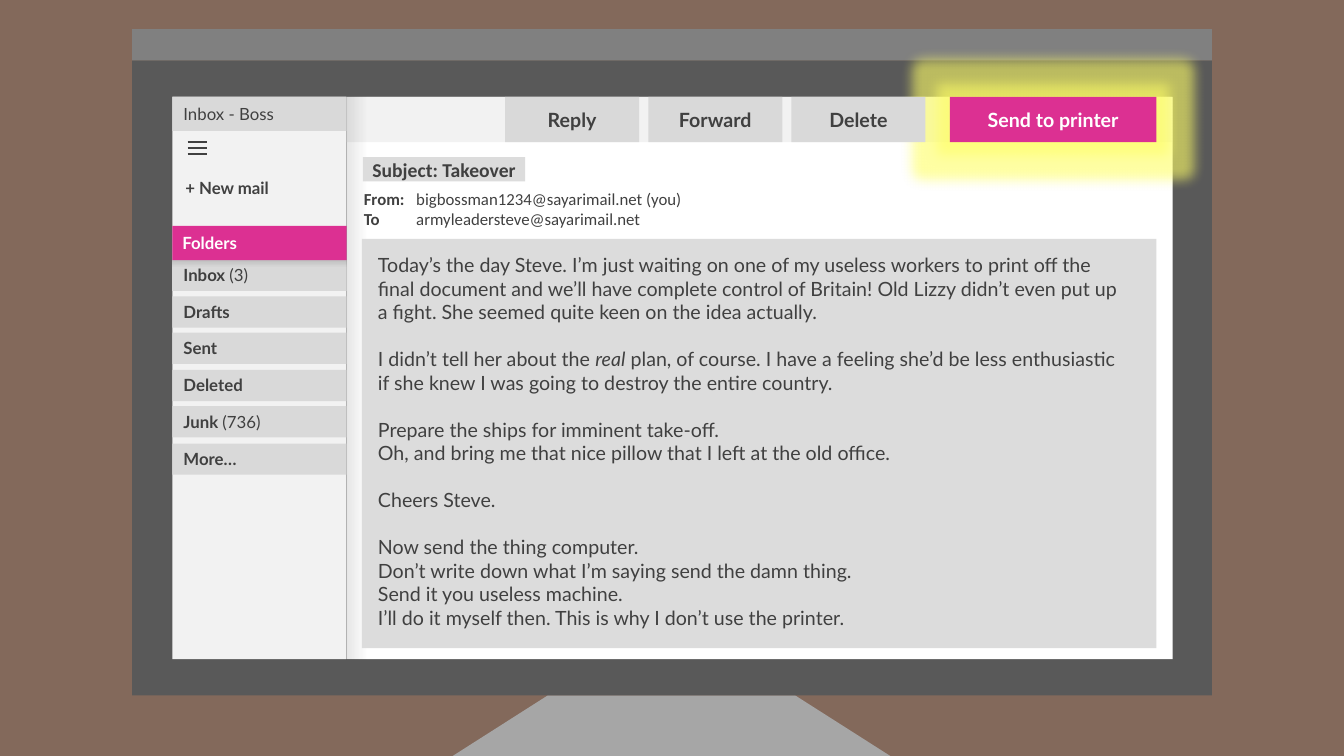
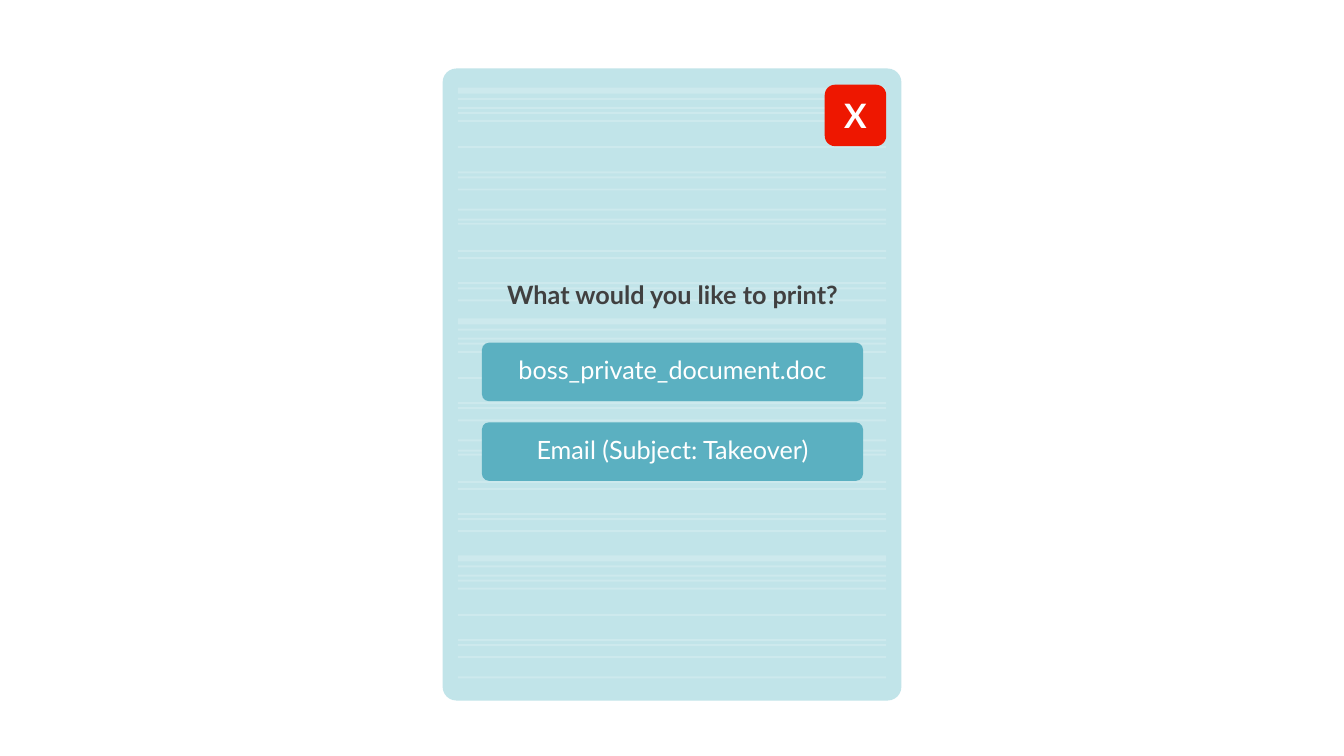
"""Build a mock e-mail screen and a printer dialog as two slides."""
from lxml.etree import SubElement
from pptx import Presentation
from pptx.dml.color import RGBColor
from pptx.enum.shapes import MSO_CONNECTOR, MSO_SHAPE
from pptx.enum.text import MSO_ANCHOR, MSO_AUTO_SIZE, PP_ALIGN
from pptx.oxml.ns import qn
from pptx.util import Emu, Pt

PX = 9144
TITLE_ONLY = 5
FONT = "Lato"
HEADER_FONT = "Calibri"

WHITE = RGBColor(0xFF, 0xFF, 0xFF)
BLACK = RGBColor(0, 0, 0)
INK = RGBColor(0x40, 0x40, 0x40)
WALL = RGBColor(0x83, 0x69, 0x5B)
STAND = RGBColor(0xA6, 0xA6, 0xA6)
BEZEL = RGBColor(0x59, 0x59, 0x59)
BEZEL_TOP = RGBColor(0x80, 0x80, 0x80)
PANE = RGBColor(0xF2, 0xF2, 0xF2)
BUTTON = RGBColor(0xD9, 0xD9, 0xD9)
ROW_SHADE = RGBColor(0xBF, 0xBF, 0xBF)
MAIL = RGBColor(0xDC, 0xDC, 0xDC)
PINK = RGBColor(0xDC, 0x30, 0x92)
GLOW = RGBColor(0xFF, 0xFF, 0x66)
DIALOG = RGBColor(0xC1, 0xE4, 0xE9)
CHOICE = RGBColor(0x5B, 0xB0, 0xC1)
CLOSE = RGBColor(0xEE, 0x17, 0x00)

FOLDERS = [
    [("Inbox ", "b"), ("(3)", "")],
    [("Drafts", "b")],
    [("Sent", "b")],
    [("Deleted", "b")],
    [("Junk ", "b"), ("(736)", "")],
    [("More…", "b")],
]
ADDRESSES = [
    ("From:", "bigbossman1234@sayarimail.net (you)"),
    ("To", "armyleadersteve@sayarimail.net"),
]
MESSAGE = [
    [[("Today’s the day Steve. I’m just waiting on one of my useless workers "
       "to print off the final document and we’ll have complete control of "
       "Britain! Old Lizzy didn’t even put up a fight. She seemed quite keen "
       "on the idea actually.", "")]],
    [[("I didn’t tell her about the ", ""), ("real", "i"),
      (" plan, of course. I have a feeling she’d be less enthusiastic if she "
       "knew I was going to destroy the entire country.", "")]],
    [[("Prepare the ships for imminent take-off.", "")],
     [("Oh, and bring me that nice pillow that I left at the old office.", "")]],
    [[("Cheers Steve.", "")]],
    [[("Now send the thing computer.", "")],
     [("Don’t write down what I’m saying send the damn thing.", "")],
     [("Send it you useless machine.", "")],
     [("I’ll do it myself then. This is why I don’t use the printer.", "")]],
]
STRIPE_STARTS = (87, 316, 551)
STRIPE_OFFSETS = (0, 10, 19, 24, 32, 58, 83, 88, 100, 120, 130, 134, 161, 168,
                  193, 198, 210)
STRIPE_LIMIT = 680


def box(*lengths):
    """Turn pixel lengths into EMU."""
    return [Emu(length * PX) for length in lengths]


def write(paragraph, parts, size, color=INK, align=PP_ALIGN.LEFT, font=FONT):
    """Fill a paragraph with (text, style) parts, style being b, i or empty."""
    paragraph.alignment = align
    for text, style in parts:
        run = paragraph.add_run()
        run.text = text
        run.font.name = font
        run.font.size = Pt(size)
        run.font.color.rgb = color
        run.font.bold = style == "b"
        run.font.italic = style == "i"


def set_frame(shape, anchor, insets=(10, 5, 10, 5)):
    """Wrap the text of a shape and set its anchor and insets."""
    frame = shape.text_frame
    frame.word_wrap = True
    frame.auto_size = MSO_AUTO_SIZE.NONE
    frame.vertical_anchor = anchor
    (frame.margin_left, frame.margin_top,
     frame.margin_right, frame.margin_bottom) = box(*insets)
    return frame


def add_block(slide, place, color, kind=MSO_SHAPE.RECTANGLE, adjust=None):
    """Add a flat filled shape without outline or shadow."""
    shape = slide.shapes.add_shape(kind, *box(*place))
    shape.shadow.inherit = False
    shape.fill.solid()
    shape.fill.fore_color.rgb = color
    shape.line.fill.background()
    if adjust is not None:
        shape.adjustments[0] = adjust
    return shape


def add_label(shape, parts, size, color=INK, align=PP_ALIGN.LEFT,
              insets=(10, 5, 10, 5)):
    """Write one vertically centred line into a shape."""
    frame = set_frame(shape, MSO_ANCHOR.MIDDLE, insets)
    write(frame.paragraphs[0], parts, size, color, align)


def add_text_box(slide, place):
    """Add an empty wrapping text box and return its frame."""
    return set_frame(slide.shapes.add_textbox(*box(*place)), MSO_ANCHOR.TOP)


def place_title(slide, place, text, size, font=FONT):
    """Move the title placeholder to the front and write a centred line."""
    title = slide.shapes.title
    title.left, title.top, title.width, title.height = box(*place)
    title.element.getparent().append(title.element)
    frame = set_frame(title, MSO_ANCHOR.MIDDLE, (0, 0, 0, 0))
    write(frame.paragraphs[0], [(text, "b")], size, INK, PP_ALIGN.CENTER, font)
    return title


def set_alpha(shape, *percents):
    """Set the opacity of the fill colours of a shape, in order."""
    colors = shape.element.spPr.iter(qn("a:srgbClr"))
    for color, percent in zip(colors, percents):
        SubElement(color, qn("a:alpha"), val=str(percent * 1000))


def set_gradient(shape, angle, *stops):
    """Fill a shape with a two-stop linear gradient."""
    shape.fill.gradient()
    shape.fill.gradient_angle = angle
    for stop, (position, color) in zip(shape.fill.gradient_stops, stops):
        stop.position = position
        stop.color.rgb = color


def add_effect(shape, tag, color, percent, **settings):
    """Add a glow or shadow to a shape."""
    effects = shape.element.spPr.find(qn("a:effectLst"))
    effect = SubElement(effects, qn(tag), **settings)
    tint = SubElement(effect, qn("a:srgbClr"), val=str(color))
    SubElement(tint, qn("a:alpha"), val=str(percent * 1000))


def add_monitor(slide):
    """Draw the wall, the stand and the screen."""
    slide.background.fill.solid()
    slide.background.fill.fore_color.rgb = WALL
    add_block(slide, (449, 690, 434, 60), STAND, MSO_SHAPE.TRAPEZOID, 1.57)
    add_block(slide, (131, 60, 1071, 630), BEZEL)
    add_block(slide, (344, 96, 819, 558), WHITE)
    add_block(slide, (131, 29, 1071, 31), BEZEL_TOP)


def add_menu_icon(slide):
    """Draw three short lines."""
    for y in range(141, 154, 6):
        line = slide.shapes.add_connector(MSO_CONNECTOR.STRAIGHT,
                                          *box(186, y, 205, y))
        line.line.color.rgb = INK
        line.line.width = Pt(1.5)
        SubElement(line.element.spPr, qn("a:effectLst"))


def add_sidebar(slide):
    """Draw the mailbox name, the menu and the folder list."""
    add_block(slide, (171, 96, 173, 558), PANE)
    mailbox = add_block(slide, (171, 96, 173, 34), BUTTON)
    add_label(mailbox, [("Inbox - Boss", "")], 12, insets=(11, 5, 10, 5))
    add_menu_icon(slide)
    frame = add_text_box(slide, (174, 171, 134, 30))
    write(frame.paragraphs[0], [("+ New mail", "b")], 12)
    for index, parts in enumerate(FOLDERS):
        top = 258 + index * 182 // 5
        row = add_block(slide, (171, top, 173, 31), BUTTON)
        if index == 0:
            set_gradient(row, 270, (0, ROW_SHADE), (0.25, BUTTON))
        add_label(row, parts, 12, insets=(11, 4, 10, 5))
    heading = add_block(slide, (171, 224, 173, 34), PINK)
    add_label(heading, [("Folders", "b")], 12, WHITE)


def add_toolbar(slide):
    """Draw the mail buttons and the highlighted print button."""
    add_block(slide, (344, 96, 818, 45), PANE)
    send = add_block(slide, (942, 96, 205, 45), PINK)
    add_effect(send, "a:glow", GLOW, 60, rad="228600")
    add_label(send, [("Send to printer", "b")], 14, WHITE, PP_ALIGN.CENTER)
    shade = add_block(slide, (344, 96, 19, 558), BLACK)
    set_gradient(shade, 0, (0, BLACK), (0.99, BLACK))
    set_alpha(shade, 10, 0)
    for index, name in enumerate(("Reply", "Forward", "Delete")):
        button = add_block(slide, (501 + index * 142, 96, 133, 45), BUTTON)
        add_label(button, [(name, "b")], 14, align=PP_ALIGN.CENTER)


def add_mail(slide):
    """Write the subject, the addresses and the message."""
    subject = place_title(slide, (360, 156, 161, 24), "Subject: Takeover", 14,
                          HEADER_FONT)
    subject.fill.solid()
    subject.fill.fore_color.rgb = MAIL
    frame = add_text_box(slide, (351, 182, 721, 50))
    for index, (name, address) in enumerate(ADDRESSES):
        paragraph = frame.add_paragraph() if index else frame.paragraphs[0]
        tabs = SubElement(paragraph._p.get_or_add_pPr(), qn("a:tabLst"))
        SubElement(tabs, qn("a:tab"), pos=str(52 * PX), algn="l")
        write(paragraph, [(name + "\t", "b"), (address, "")], 12,
              font=HEADER_FONT)
    add_block(slide, (359, 237, 788, 406), MAIL)
    frame = add_text_box(slide, (365, 246, 755, 387))
    for section_index, section in enumerate(MESSAGE):
        for line_index, parts in enumerate(section):
            first = section_index == line_index == 0
            paragraph = frame.paragraphs[0] if first else frame.add_paragraph()
            if section_index and not line_index:
                paragraph.space_before = Pt(16.8)
            write(paragraph, parts, 14)


def add_stripes(slide):
    """Draw the faint lines on the dialog."""
    for start in STRIPE_STARTS:
        for offset in STRIPE_OFFSETS:
            if start + offset < STRIPE_LIMIT:
                height = 2 if offset else 6
                stripe = add_block(slide, (454, start + offset, 425, height),
                                   WHITE)
                set_alpha(stripe, 20)


def add_dialog(slide):
    """Draw the print dialog with its question and choices."""
    rounded = MSO_SHAPE.ROUNDED_RECTANGLE
    add_block(slide, (439, 68, 455, 627), DIALOG, rounded, 0.03)
    add_stripes(slide)
    close = add_block(slide, (818, 84, 61, 61), CLOSE, rounded)
    add_label(close, [("X", "b")], 24, WHITE, PP_ALIGN.CENTER, (10, 4, 10, 5))
    place_title(slide, (478, 272, 378, 40), "What would you like to print?", 18)
    choices = ("boss_private_document.doc", "Email (Subject: Takeover)")
    for index, text in enumerate(choices):
        choice = add_block(slide, (478, 340 + index * 79, 378, 58), CHOICE,
                           rounded, 0.12)
        add_label(choice, [(text, "")], 18, WHITE, PP_ALIGN.CENTER,
                  (10, 0, 10, 5))


def main():
    """Build and save the presentation."""
    presentation = Presentation()
    presentation.slide_width, presentation.slide_height = box(1333, 750)
    layout = presentation.slide_layouts[TITLE_ONLY]
    mail_slide = presentation.slides.add_slide(layout)
    for add_part in (add_monitor, add_sidebar, add_toolbar, add_mail):
        add_part(mail_slide)
    add_dialog(presentation.slides.add_slide(layout))
    presentation.save("out.pptx")


if __name__ == "__main__":
    main()
